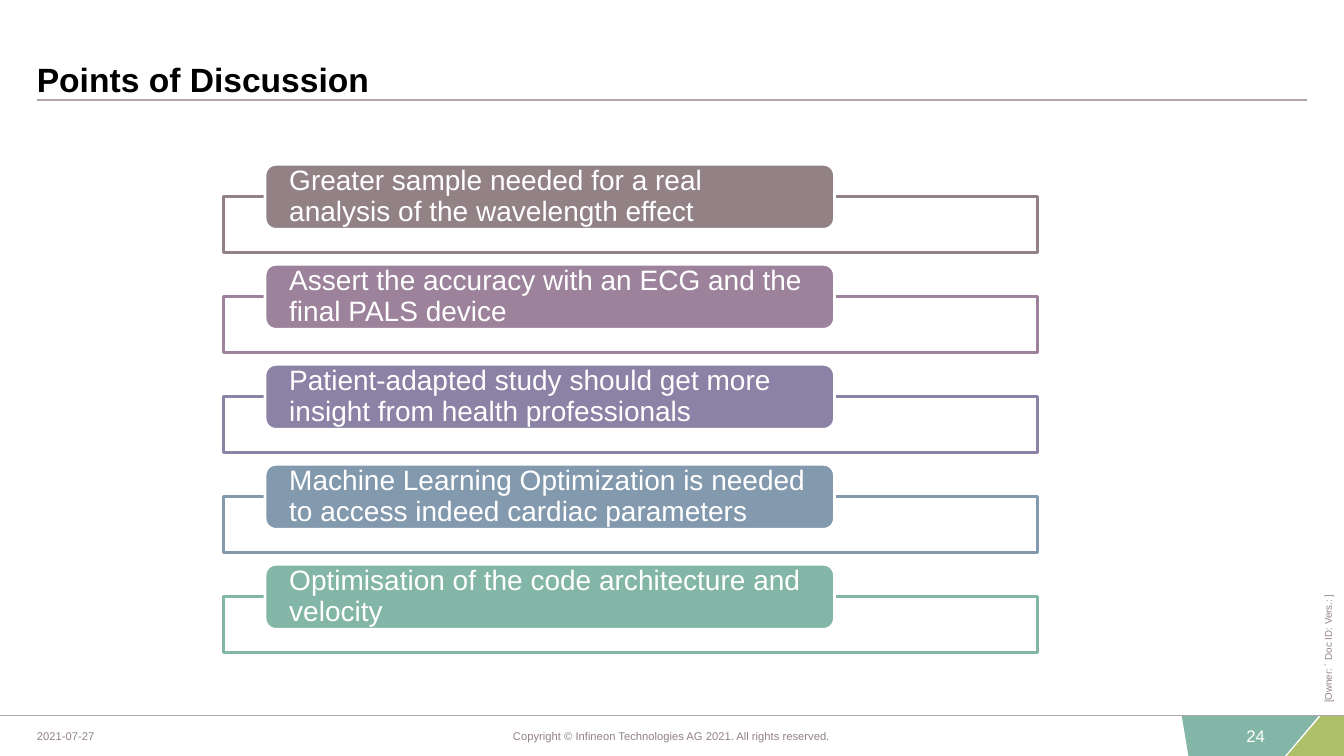
import pptx
import pptx.util
import pptx.dml.color
import pptx.enum.shapes
import pptx.enum.text
import lxml.etree

Cm, Pt = pptx.util.Cm, pptx.util.Pt
Rgb = pptx.dml.color.RGBColor.from_string
Kind = pptx.enum.shapes.MSO_SHAPE
Align = pptx.enum.text.PP_ALIGN
Anchor = pptx.enum.text.MSO_ANCHOR

theme = {
    "font": "Arial",
    "white": "FFFFFF", "black": "000000", "rule": "B0A5A7", "gray": "928285",
    "green": "84B6A7", "lime": "AEC067",
    "points": ["928285", "9C829B", "8B82A5", "8399AE", "84B6A7"],
    "title": 24, "point": 20, "page": 12, "foot": 8, "owner": 7,
}


def write(shape, text, size, color, align=Align.LEFT, anchor=Anchor.MIDDLE,
          side=0, base=0, bold=False, space=1.0):
    frame = shape.text_frame
    form = {"word_wrap": True, "vertical_anchor": anchor,
            "margin_left": Cm(side), "margin_right": Cm(side),
            "margin_top": 0, "margin_bottom": Cm(base)}
    for key, value in form.items():
        setattr(frame, key, value)
    para = frame.paragraphs[0]
    para.text = text
    para.alignment = align
    para.line_spacing = space
    form = {"name": theme["font"], "size": Pt(theme[size]), "bold": bold}
    for key, value in form.items():
        setattr(para.font, key, value)
    para.font.color.rgb = Rgb(theme[color])


def paint(shape, fill, line=None):
    shape.shadow.inherit = False
    shape.fill.solid()
    shape.fill.fore_color.rgb = Rgb(fill)
    if line:
        shape.line.color.rgb = Rgb(line)
        shape.line.width = Pt(2)
    else:
        shape.line.fill.background()


deck = pptx.Presentation()
deck.slide_width, deck.slide_height = Cm(33.87), Cm(19.05)
slide = deck.slides.add_slide(deck.slide_layouts[6])
shapes = slide.shapes

foot, end = 18.03, 19.05
tabs = [
    ("lime", [(33.3, foot), (33.87, foot), (33.87, end), (32.43, end)]),
    ("green", [(29.78, foot), (33.24, foot), (32.38, end), (29.95, end)]),
]
for color, spots in tabs:
    spots = [(Cm(x), Cm(y)) for x, y in spots]
    path = shapes.build_freeform(*spots[0])
    path.add_line_segments(spots[1:], close=True)
    paint(path.convert_to_shape(), theme[color])

for left, right, top in [(0, 33.87, foot), (0.93, 32.94, 2.52)]:
    rule = shapes.add_connector(pptx.enum.shapes.MSO_CONNECTOR.STRAIGHT,
                                Cm(left), Cm(top), Cm(right), Cm(top))
    rule.line.color.rgb = Rgb(theme["rule"])
    rule.line.width = Pt(0.75)
    lxml.etree.SubElement(rule._element.spPr, pptx.oxml.ns.qn("a:effectLst"))

title = shapes.add_textbox(Cm(0.93), Cm(0.53), Cm(26.7), Cm(2.01))
write(title, "Points of Discussion", "title", "black",
      anchor=Anchor.BOTTOM, base=0.03, bold=True)

notes = [
    ("24", 30.81, foot, 1.07, 1.02, "page", "white", Align.RIGHT, 0),
    ("[Owner: ´ Doc ID: Vers.: ]", 29.87, 13.77, 7.19, 0.69,
     "owner", "gray", Align.LEFT, 270),
    ("Copyright © Infineon Technologies AG 2021. All rights reserved.",
     12.62, foot, 8.61, 1.02, "foot", "gray", Align.CENTER, 0),
    ("2021-07-27", 0.93, foot, 1.7, 1.02, "foot", "gray", Align.LEFT, 0),
]
for text, left, top, width, height, size, color, align, turn in notes:
    box = shapes.add_textbox(Cm(left), Cm(top), Cm(width), Cm(height))
    box.rotation = turn
    write(box, text, size, color, align)

points = [
    "Greater sample needed for a real analysis of the wavelength effect",
    "Assert the accuracy with an ECG and the final PALS device",
    "Patient-adapted study should get more insight from health professionals",
    "Machine Learning Optimization is needed to access indeed cardiac parameters",
    "Optimisation of the code architecture and velocity",
]
for row, (text, color) in enumerate(zip(points, theme["points"])):
    top = 4.14 + 2.52 * row
    frame = shapes.add_shape(Kind.RECTANGLE, Cm(5.64), Cm(top + 0.81),
                             Cm(20.5), Cm(1.41))
    paint(frame, theme["white"], color)
    label = shapes.add_shape(Kind.ROUNDED_RECTANGLE, Cm(6.68), Cm(top),
                             Cm(14.35), Cm(1.64))
    paint(label, color, theme["white"])
    write(label, text, "point", "white", side=0.53, space=0.9)

deck.save("out.pptx")
